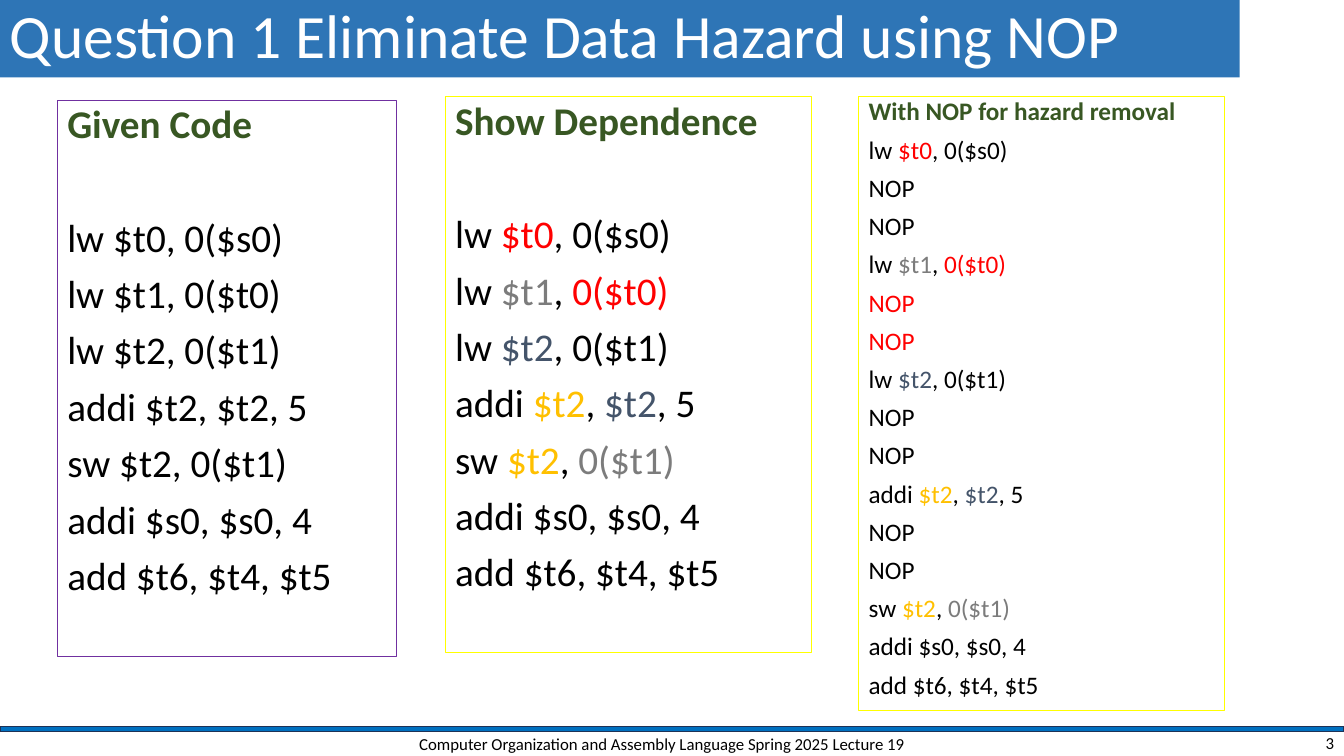
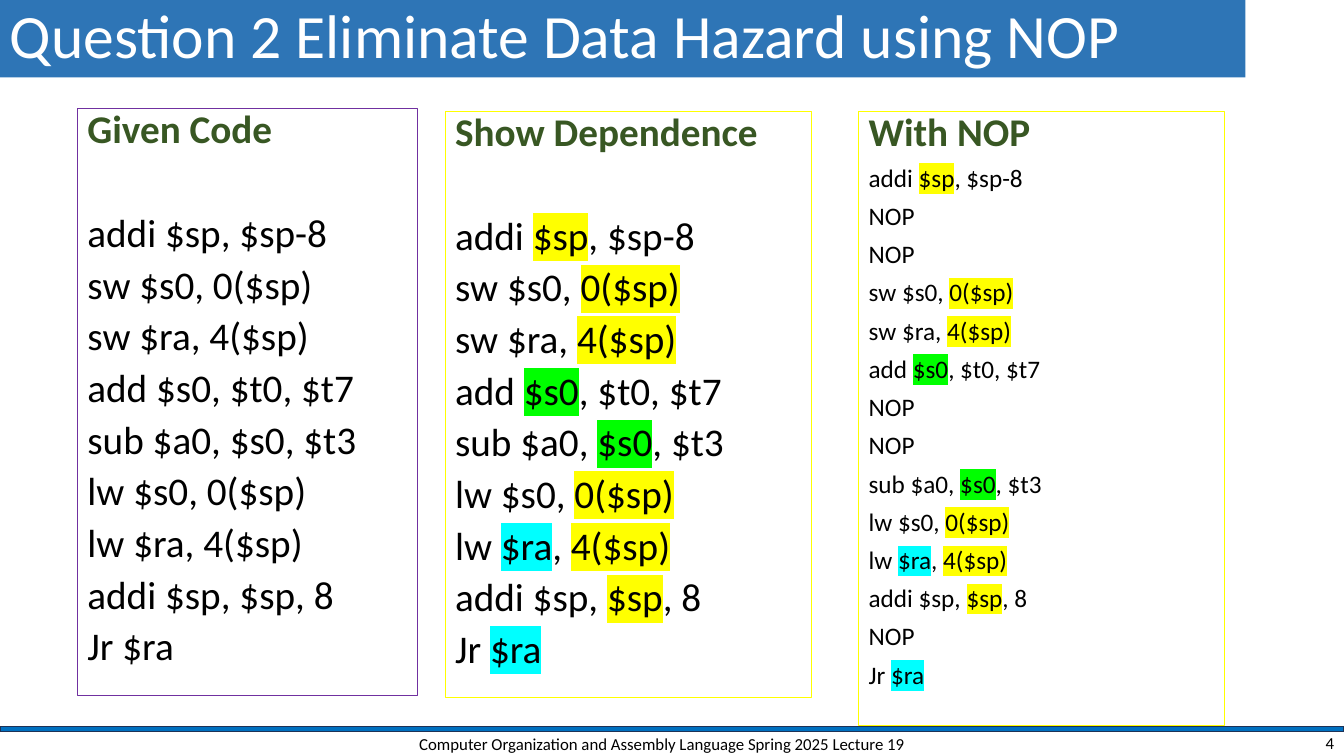
from lxml import etree
from pptx import Presentation
from pptx.dml.color import RGBColor
from pptx.enum import shapes, text
from pptx.oxml import ns
from pptx.util import Pt

FONT = "Calibri"
BLACK, WHITE, HEADING = "000000", "FFFFFF", "385723"
TITLE_BLUE, BAR_BLUE, BAR_EDGE = "2E75B6", "0070C0", "1E3256"
PURPLE, YELLOW = "7030A0", "FFFF00"
COLORS = {"red": "FF0000", "gray": "7C7C7C", "slate": "44546A", "gold": "FFC000"}
HIGHLIGHTS = {"yellow": YELLOW, "green": "00FF00", "cyan": "00FFFF"}

FOOTER = "Computer Organization and Assembly Language Spring 2025 Lecture 19"
BIG, SMALL = 28, 18
PARA_GAP = 10
LINE_HEIGHT = 1.22  # natural line height of the font, in ems

# Between bars: "style:text", with a style from COLORS or HIGHLIGHTS.
QUESTION_1 = [
    "lw |red:$t0|, 0($s0)",
    "lw |gray:$t1|, |red:0($t0)|",
    "lw |slate:$t2|, 0($t1)",
    "addi |gold:$t2|, |slate:$t2|, 5",
    "sw |gold:$t2|, |gray:0($t1)|",
    "addi $s0, $s0, 4",
    "add $t6, $t4, $t5",
]
QUESTION_2 = [
    "addi |yellow:$sp|, $sp-8",
    "sw $s0, |yellow:0($sp)|",
    "sw $ra, |yellow:4($sp)|",
    "add |green:$s0|, $t0, $t7",
    "sub $a0, |green:$s0|, $t3",
    "lw $s0, |yellow:0($sp)|",
    "lw |cyan:$ra|, |yellow:4($sp)|",
    "addi $sp, |yellow:$sp|, 8",
    "Jr |cyan:$ra|",
]
# Stalls that follow the instruction with the given index.
NOPS_1 = {0: ["NOP"] * 2, 1: ["|red:NOP|"] * 2, 2: ["NOP"] * 2, 3: ["NOP"] * 2}
NOPS_2 = {0: ["NOP"] * 2, 3: ["NOP"] * 2, 7: ["NOP"]}


def rgb(color):
    return RGBColor.from_string(color)


def split_marks(line):
    """Return (style, text) pairs; the style of unmarked text is empty."""
    pieces = []
    for i, part in enumerate(line.split("|")):
        style, _, words = part.partition(":") if i % 2 else ("", "", part)
        if words:
            pieces.append((style, words))
    return pieces


def without_marks(code):
    return ["".join(words for _, words in split_marks(line)) for line in code]


def with_nops(code, nops):
    return [row for i, line in enumerate(code) for row in [line, *nops.get(i, [])]]


def style_run(r, size, color=BLACK, bold=False):
    r.font.name, r.font.size, r.font.bold = FONT, Pt(size), bold
    r.font.color.rgb = rgb(color)


def highlight(r, color):
    mark = etree.Element(ns.qn("a:highlight"))
    etree.SubElement(mark, ns.qn("a:srgbClr")).set("val", color)
    r.font._element.find(ns.qn("a:solidFill")).addnext(mark)


def add_box(s, rect, fill=None, line=None, weight=0.75):
    sp = s.shapes.add_shape(shapes.MSO_SHAPE.RECTANGLE, *map(Pt, rect))
    sp.shadow.inherit = False
    if fill:
        sp.fill.solid()
        sp.fill.fore_color.rgb = rgb(fill)
    else:
        sp.fill.background()
    if line:
        sp.line.color.rgb = rgb(line)
        sp.line.width = Pt(weight)
    else:
        sp.line.fill.background()
    return sp


def set_line(sp, words, size, color, align):
    """Put one vertically centred line of text into a shape."""
    tf = sp.text_frame
    tf.word_wrap = True
    tf.vertical_anchor = text.MSO_ANCHOR.MIDDLE
    tf.text = words
    p = tf.paragraphs[0]
    p.alignment = align
    style_run(p.runs[0], size, color)
    return p


def add_frame(s, title, title_width, number):
    """Draw the title band, the footer bar, the footer and the slide number."""
    add_box(s, (0, 519, 960, 3.6), BAR_BLUE, BAR_EDGE, 1)
    band = add_box(s, (0, 0, title_width, 55.4), TITLE_BLUE)
    set_line(band, title, 44, WHITE, text.PP_ALIGN.LEFT).line_spacing = 0.9
    for words, rect, align in (
        (FOOTER, (282, 521.5, 382, 20), text.PP_ALIGN.CENTER),
        (str(number), (744, 521.5, 216, 18), text.PP_ALIGN.RIGHT),
    ):
        set_line(s.shapes.add_textbox(*map(Pt, rect)), words, 12, BLACK, align)


def add_code(s, rect, line, heading, code, spacing,
             heading_size=BIG, size=BIG, gap=True):
    """Add a listing; gap leaves one line free below its heading."""
    tf = add_box(s, rect, line=line).text_frame
    tf.word_wrap = True
    tf.vertical_anchor = text.MSO_ANCHOR.TOP
    tf.text = "\n".join([heading, *without_marks(code)])
    for p in tf.paragraphs:
        p.alignment = text.PP_ALIGN.LEFT
        p.line_spacing = spacing
        p.space_before = Pt(PARA_GAP)
    head, *rows = tf.paragraphs
    style_run(head.runs[0], heading_size, HEADING, True)
    if gap:
        head.space_after = Pt(round(BIG * LINE_HEIGHT * spacing + PARA_GAP, 1))
    for p, marked in zip(rows, code):
        p.clear()
        for style, words in split_marks(marked):
            r = p.add_run()
            r.text = words
            style_run(r, size, COLORS.get(style, BLACK))
            if style in HIGHLIGHTS:
                highlight(r, HIGHLIGHTS[style])


def add_question(prs, number, title_width, code, nops, given_at, top, height,
                 spacing, nop_heading, nop_heading_size):
    s = prs.slides.add_slide(prs.slide_layouts[6])
    add_frame(s, f"Question {number} Eliminate Data Hazard using NOP",
              title_width, number + 2)
    add_code(s, (*given_at, 242.6, height), PURPLE, "Given Code",
             without_marks(code), spacing)
    add_code(s, (318, top, 261.4, height), YELLOW, "Show Dependence", code, spacing)
    add_code(s, (613.4, top, 261.4, 438.5), YELLOW, nop_heading,
             with_nops(code, nops), 0.8, nop_heading_size, SMALL, gap=False)


def main():
    prs = Presentation()
    prs.slide_width, prs.slide_height = Pt(960), Pt(540)
    add_question(prs, 1, 885.6, QUESTION_1, NOPS_1, (41, 71.5), 69, 397.4,
                 0.9, "With NOP for hazard removal", SMALL)
    add_question(prs, 2, 889.6, QUESTION_2, NOPS_2, (55.4, 77.5), 79.5, 419,
                 0.8, "With NOP", BIG)
    prs.save("out.pptx")


if __name__ == "__main__":
    main()
